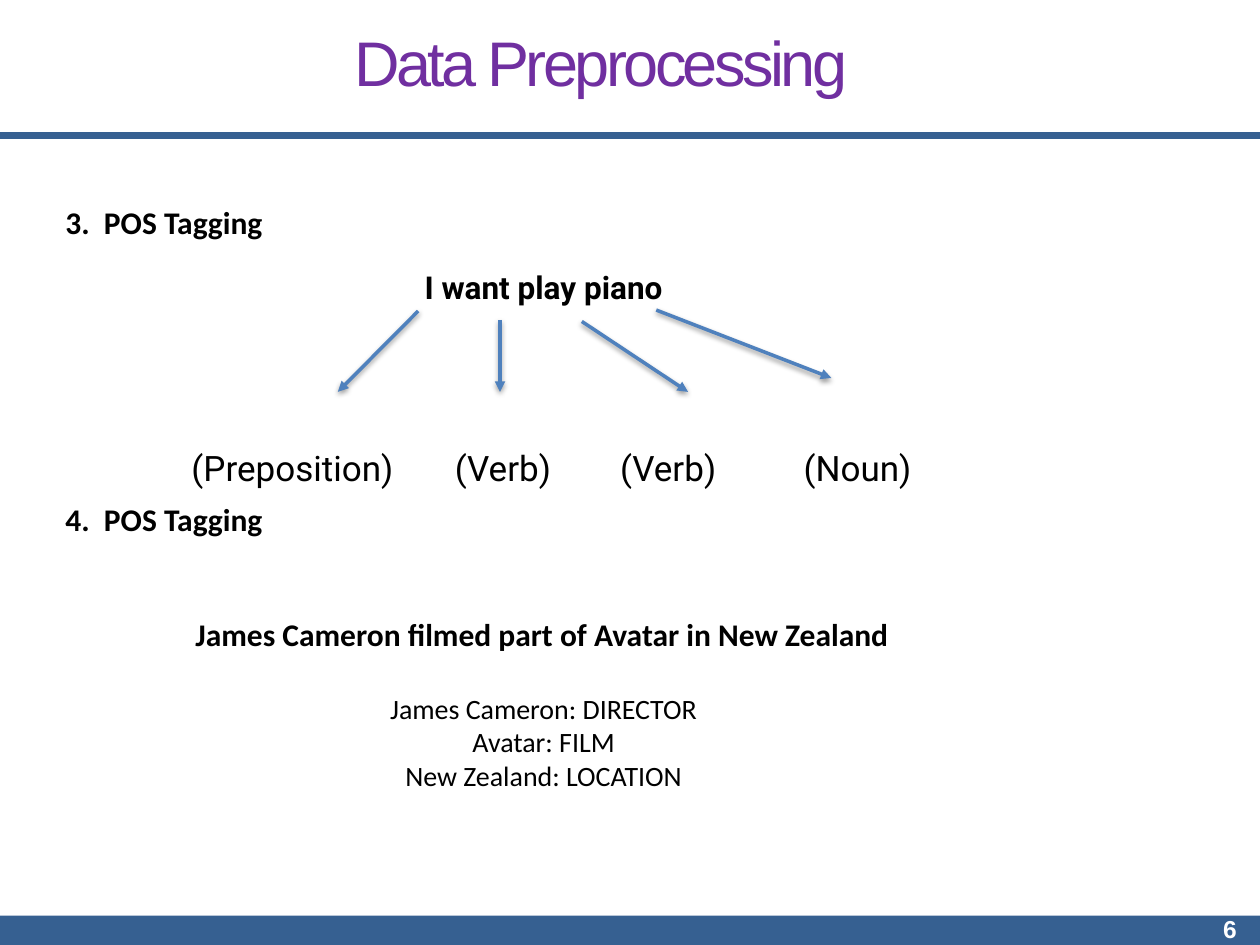
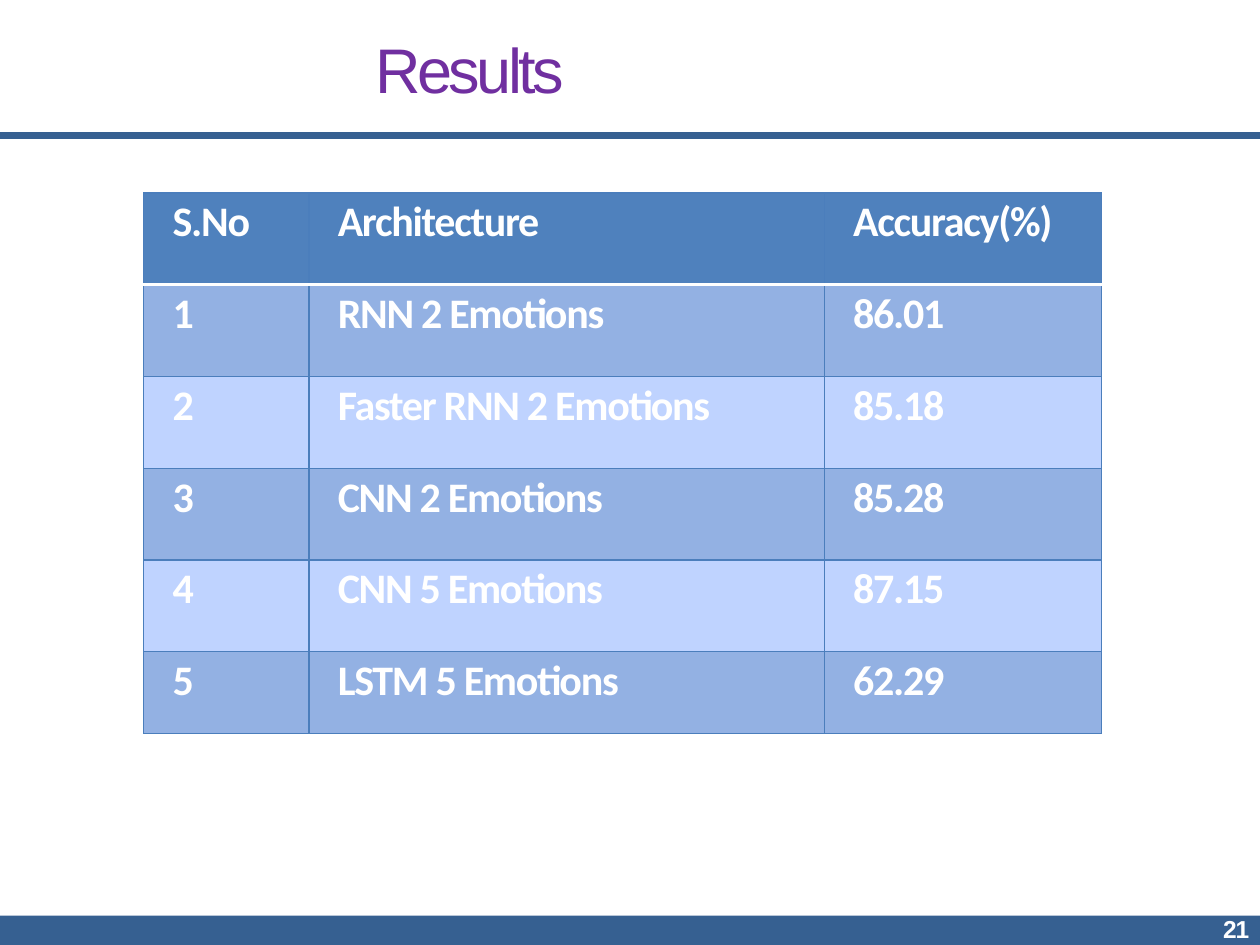
from lxml import etree
from pptx import Presentation
from pptx.dml.color import RGBColor
from pptx.enum.shapes import MSO_CONNECTOR as CONN, MSO_SHAPE as SHAPE
from pptx.enum.text import PP_ALIGN as ALIGN
from pptx.oxml import parse_xml
from pptx.oxml.ns import nsdecls, qn
from pptx.util import Cm, Pt

COLORS = {
    "band": "366091", "title": "702FA0", "text": "000000", "white": "FFFFFF",
    "accent": "4F81BD", "grid": "4B7EBC", "row_dark": "93B1E3", "row_light": "BFD3FF",
}
WIDTH, HEIGHT = 25.4, 19.05
TITLE = {"name": "Arial", "size": 36, "color": "title", "spc": -2}
PAGE = {"name": "Arial", "size": 14, "bold": True, "color": "white", "spc": -0.7}
BODY = {"name": "Calibri", "size": 16, "bold": False, "color": "text"}
HEADING = BODY | {"size": 18, "bold": True}
SENTENCE = HEADING | {"name": "Roboto"}
TAG = BODY | {"name": "Roboto", "size": 20}
CELL = {"name": "Calibri", "size": 24, "bold": True, "color": "white", "spc": -0.75}


def rgb(name):
    return RGBColor.from_string(COLORS[name])


def add_run(p, text, style):
    r = p.add_run()
    r.text = text
    for key, value in style.items():
        if key == "color":
            r.font.color.rgb = rgb(value)
        elif key == "spc":
            r._r.get_or_add_rPr().set("spc", str(int(value * 100)))
        else:
            setattr(r.font, key, Pt(value) if key == "size" else value)


def add_text(s, box, text, style, inset=0.13, leading=None):
    tf = s.shapes.add_textbox(*map(Cm, box)).text_frame
    tf.word_wrap = True
    for side in ("left", "top", "right", "bottom"):
        setattr(tf, f"margin_{side}", Cm(inset))
    p = tf.paragraphs[0]
    if leading:
        p.line_spacing = Pt(leading)
    add_run(p, text, style)
    return tf


def add_line(s, x1, y1, x2, y2, color, width):
    line = s.shapes.add_connector(CONN.STRAIGHT, *map(Cm, (x1, y1, x2, y2)))
    line.line.color.rgb = rgb(color)
    line.line.width = Pt(width)
    effects = etree.SubElement(line._element.spPr, qn("a:effectLst"))
    return line, effects


def add_arrow(s, *ends):
    """Draw a line with a triangular head and a soft shadow below."""
    line, effects = add_line(s, *ends, "accent", 2)
    etree.SubElement(line.line._get_or_add_ln(), qn("a:tailEnd"), type="triangle")
    effects.append(parse_xml(
        f'<a:outerShdw {nsdecls("a")} blurRad="38100" dist="20320" dir="5400000" rotWithShape="0">'
        f'<a:srgbClr val="{COLORS["text"]}"><a:alpha val="38000"/></a:srgbClr></a:outerShdw>'))


def add_frame(prs, title, title_box, number):
    """Start a slide with its rule, footer band, page number and title."""
    s = prs.slides.add_slide(prs.slide_layouts[6])
    add_line(s, 0, 2.74, WIDTH, 2.74, "band", 4)
    band = s.shapes.add_shape(SHAPE.RECTANGLE, *map(Cm, (0, 18.46, WIDTH, 0.6)))
    band.shadow.inherit = False
    band.fill.solid()
    band.fill.fore_color.rgb = rgb("band")
    band.line.fill.background()
    add_text(s, (24.66, 18.52, 0.61, 0.51), number, PAGE, inset=0, leading=14)
    add_text(s, title_box, title, TITLE, inset=0)
    return s


def add_heading(s, x, y, text):
    add_text(s, (x, y, 4.78, 0.99), text, HEADING)


def add_word_tags(s, x, y):
    add_heading(s, x, y, "3.  POS Tagging")
    tags = ("(Preposition)", "(Verb)", "(Verb)", "(Noun)")
    tf = add_text(s, (x + 2.54, y + 3.74, 15.37, 3.02), "\t".join(tags), TAG, leading=57)
    tabs = etree.SubElement(tf.paragraphs[0]._p.get_or_add_pPr(), qn("a:tabLst"))
    for stop in (5.31, 8.64, 12.34):
        etree.SubElement(tabs, qn("a:tab"), pos=str(Cm(stop)), algn="l")
    add_text(s, (x + 7.24, y + 0.18, 5.41, 2.18), "I want play piano", SENTENCE, leading=54)
    for x1, y1, x2, y2 in ((7.24, 2.31, 5.62, 3.94), (8.89, 2.49, 8.89, 3.94),
                           (10.54, 2.52, 12.68, 3.94), (12.04, 2.29, 15.57, 3.66)):
        add_arrow(s, x + x1, y + y1, x + x2, y + y2)


def add_entity_tags(s, x, y):
    add_heading(s, x, y, "4.  POS Tagging")
    tf = add_text(s, (x + 2.62, y + 2.31, 14.3, 3.76),
                  "James Cameron filmed part of Avatar in New Zealand", HEADING)
    entities = ("James Cameron: DIRECTOR", "Avatar: FILM", "New Zealand: LOCATION")
    for i, entity in enumerate(entities):
        p = tf.add_paragraph()
        p.alignment = ALIGN.CENTER
        if i == 0:
            p.space_before = Pt(22)
        add_run(p, entity, BODY)


def set_border(cell, side, color, width):
    cell._tc.get_or_add_tcPr().append(parse_xml(
        f'<a:ln{side} {nsdecls("a")} w="{Pt(width)}"><a:solidFill>'
        f'<a:srgbClr val="{COLORS[color]}"/></a:solidFill></a:ln{side}>'))


def add_results(s, x, y):
    rows = (
        ("S.No", "Architecture", "Accuracy(%)"),
        ("1", "RNN 2 Emotions", "86.01"),
        ("2", "Faster RNN 2 Emotions", "85.18"),
        ("3", "CNN 2 Emotions", "85.28"),
        ("4", "CNN 5 Emotions", "87.15"),
        ("5", "LSTM 5 Emotions", "62.29"),
    )
    widths, heights = (3.33, 10.39, 5.59), [1.85] * 5 + [1.65]
    table = s.shapes.add_table(len(rows), len(widths), Cm(x), Cm(y),
                               Cm(sum(widths)), Cm(sum(heights))).table
    for column, width in zip(table.columns, widths):
        column.width = Cm(width)
    for i, values in enumerate(rows):
        table.rows[i].height = Cm(heights[i])
        fill = "accent" if i == 0 else ("row_light", "row_dark")[i % 2]
        for j, value in enumerate(values):
            cell = table.cell(i, j)
            cell.margin_left, cell.margin_top = Cm(0.58), Cm(0.08)
            add_run(cell.text_frame.paragraphs[0], value, CELL)
            for side in "LRTB":
                under_header = (i, side) in ((0, "B"), (1, "T"))
                set_border(cell, side, *(("white", 2) if under_header else ("grid", 0.75)))
            cell.fill.solid()
            cell.fill.fore_color.rgb = rgb(fill)


def main():
    prs = Presentation()
    prs.slide_width, prs.slide_height = Cm(WIDTH), Cm(HEIGHT)
    s = add_frame(prs, "Data Preprocessing", (7.14, 0.48, 10.21, 1.55), "6")
    add_word_tags(s, 1.19, 3.96)
    add_entity_tags(s, 1.19, 9.96)
    s = add_frame(prs, "Results", (7.57, 0.61, 4.14, 1.55), "21")
    add_results(s, 2.9, 3.89)
    prs.save("out.pptx")


if __name__ == "__main__":
    main()
